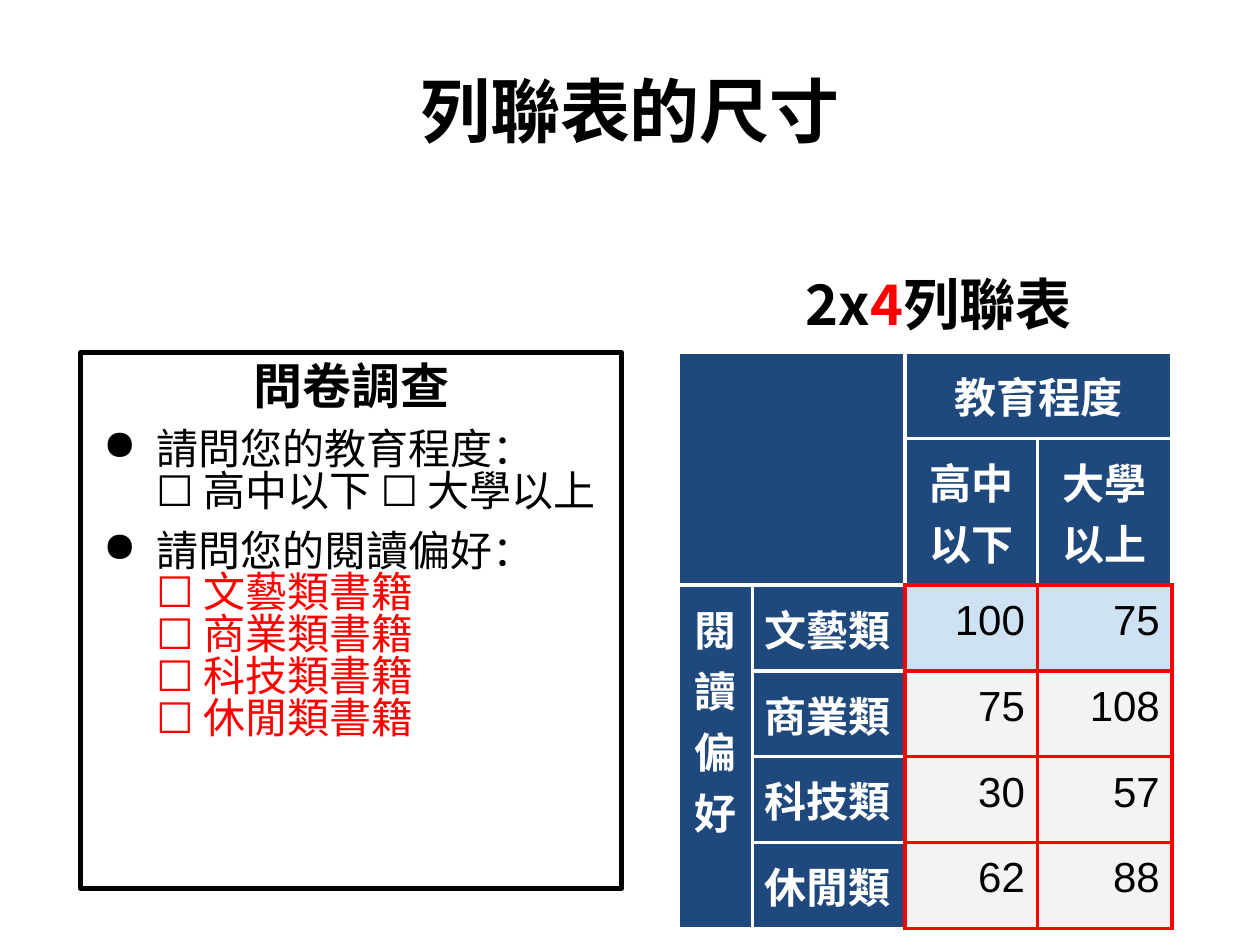
"""Build a slide on the size of a contingency table."""
from lxml import etree
from pptx import Presentation
from pptx.dml.color import RGBColor
from pptx.enum.shapes import MSO_SHAPE
from pptx.enum.text import MSO_ANCHOR, MSO_AUTO_SIZE, PP_ALIGN
from pptx.oxml.ns import qn
from pptx.util import Cm, Pt

BLACK = RGBColor(0x00, 0x00, 0x00)
WHITE = RGBColor(0xFF, 0xFF, 0xFF)
RED = RGBColor(0xFF, 0x00, 0x00)
NAVY = RGBColor(0x1F, 0x49, 0x7D)
SKY = RGBColor(0xCF, 0xE2, 0xF3)
GREY = RGBColor(0xF3, 0xF3, 0xF3)
RECT = MSO_SHAPE.RECTANGLE
TOP, MID = MSO_ANCHOR.TOP, MSO_ANCHOR.MIDDLE
LEFT, CENTER, RIGHT = PP_ALIGN.LEFT, PP_ALIGN.CENTER, PP_ALIGN.RIGHT
FIXED = MSO_AUTO_SIZE.NONE
SANS, CJK = "Arial", "Noto Sans CJK TC"
PAD = Cm(0.25)
EDGE = Pt(2.25)

ROWS = [
    ["", "", "教育程度", ""],
    ["", "", "高中以下", "大學以上"],
    ["閱讀偏好", "文藝類", "100", "75"],
    ["", "商業類", "75", "108"],
    ["", "科技類", "30", "57"],
    ["", "休閒類", "62", "88"],
]
SPANS = [((0, 0), (1, 1)), ((0, 2), (0, 3)), ((2, 0), (5, 0))]
WIDTHS = [1.5, 3.07, 2.67, 2.72]
HEIGHTS = [1.19, 2.01, 1.19, 1.19, 1.22, 1.22]
ASKS = [
    "請問您的教育程度：\v☐ 高中以下 ☐ 大學以上",
    "請問您的閱讀偏好：\v☐ 文藝類書籍\v☐ 商業類書籍\v☐ 科技類書籍\v☐ 休閒類書籍",
]


class Deck:
    """Hold the style and the current slide."""

    def __init__(self):
        self.prs = Presentation()
        self.prs.slide_width, self.prs.slide_height = Cm(25.4), Cm(19.05)
        self.slide = self.prs.slides.add_slide(self.prs.slide_layouts[1])

    def style(self, run, size, color=BLACK, bold=False, face=SANS):
        font = run.font
        font.size, font.bold, font.name = Pt(size), bold, face
        font.color.rgb = color
        east = etree.SubElement(run._r.get_or_add_rPr(), qn("a:ea"))
        east.set("typeface", CJK)

    def frame(self, shape, anchor):
        frame = shape.text_frame
        frame.word_wrap, frame.auto_size = True, FIXED
        frame.vertical_anchor = anchor
        frame.margin_left = frame.margin_right = PAD
        frame.margin_top = frame.margin_bottom = PAD
        return frame

    def place(self, shape, left, top, width, height):
        shape.left, shape.top = Cm(left), Cm(top)
        shape.width, shape.height = Cm(width), Cm(height)

    def mark(self, para, indent, hang, char=None):
        props = para._p.get_or_add_pPr()
        props.set("marL", str(Cm(indent)))
        props.set("indent", str(-Cm(hang)))
        if char:
            tint = etree.SubElement(props, qn("a:buClr"))
            etree.SubElement(tint, qn("a:srgbClr")).set("val", str(BLACK))
            etree.SubElement(props, qn("a:buChar")).set("char", char)
        else:
            etree.SubElement(props, qn("a:buNone"))

    def title(self, text, *box):
        shape = self.slide.shapes.title
        self.place(shape, *box)
        para = self.frame(shape, MID).paragraphs[0]
        para.text, para.alignment = text, CENTER
        self.style(para.runs[0], 40, bold=True, face=CJK)

    def body(self, parts, *box):
        shape = self.slide.placeholders[1]
        self.place(shape, *box)
        para = self.frame(shape, TOP).paragraphs[0]
        para.alignment, para.line_spacing = CENTER, 1.15
        para.space_before = Pt(0)
        self.mark(para, 0.97, 0.46)
        for text, color in parts:
            run = para.add_run()
            run.text = text
            self.style(run, 32, color, True, CJK)

    def survey(self, head, asks, *box):
        shape = self.slide.shapes.add_shape(RECT, *map(Cm, box))
        shape.shadow.inherit = False
        shape.fill.solid()
        shape.fill.fore_color.rgb = WHITE
        shape.line.color.rgb, shape.line.width = BLACK, Pt(3)
        frame = self.frame(shape, TOP)
        para = frame.paragraphs[0]
        para.text, para.alignment = head, CENTER
        para.line_spacing, para.space_after = 0.83, Pt(10)
        self.style(para.runs[0], 28, bold=True)
        for i, ask in enumerate(asks):
            para = frame.add_paragraph()
            para.text, para.alignment = ask, LEFT
            para.line_spacing, para.space_before = 0.83, Pt(10 * i)
            self.mark(para, 1.27, 1.07, "●")
            for j, run in enumerate(para.runs):
                self.style(run, 24, RED if i and j else BLACK)

    def border(self, cell, colors):
        props = cell._tc.get_or_add_tcPr()
        for side, color in zip("LRTB", colors):
            line = etree.SubElement(props, qn("a:ln" + side), w=str(EDGE))
            fill = etree.SubElement(line, qn("a:solidFill"))
            etree.SubElement(fill, qn("a:srgbClr")).set("val", str(color))

    def cell(self, cell, text, row, col):
        data = row > 1 and col > 1
        right = RED if row > 1 and col > 0 else WHITE
        base = RED if row > 0 and col > 1 else WHITE
        side = RED if data else WHITE
        self.border(cell, (side, right, side, base))
        cell.margin_left = cell.margin_right = PAD
        cell.margin_top = cell.margin_bottom = PAD
        cell.fill.solid()
        shade = SKY if row == 2 else GREY
        cell.fill.fore_color.rgb = shade if data else NAVY
        if text:
            para = cell.text_frame.paragraphs[0]
            para.text = text
            label = LEFT if row > 1 and col == 1 else CENTER
            para.alignment = RIGHT if data else label
            self.style(para.runs[0], 24, BLACK if data else WHITE, not data)

    def table(self, rows, left, top):
        size = sum(WIDTHS), sum(HEIGHTS)
        box = map(Cm, (left, top, *size))
        grid = self.slide.shapes.add_table(len(rows), len(WIDTHS), *box).table
        grid.first_row = grid.horz_banding = False
        for col, width in zip(grid.columns, WIDTHS):
            col.width = Cm(width)
        for row, height in zip(grid.rows, HEIGHTS):
            row.height = Cm(height)
        for start, end in SPANS:
            grid.cell(*start).merge(grid.cell(*end))
        for i, row in enumerate(rows):
            for j, text in enumerate(row):
                self.cell(grid.cell(i, j), text, i, j)


def main():
    deck = Deck()
    deck.title("列聯表的尺寸", 1.32, 0.48, 22.76, 3.45)
    heads = [("2x", BLACK), ("4", RED), ("列聯表", BLACK)]
    deck.body(heads, 13.08, 4.98, 11.18, 13.08)
    deck.survey("問卷調查", ASKS, 1.63, 7.11, 10.9, 10.8)
    deck.table(ROWS, 13.67, 7.11)
    deck.prs.save("out.pptx")


if __name__ == "__main__":
    main()
